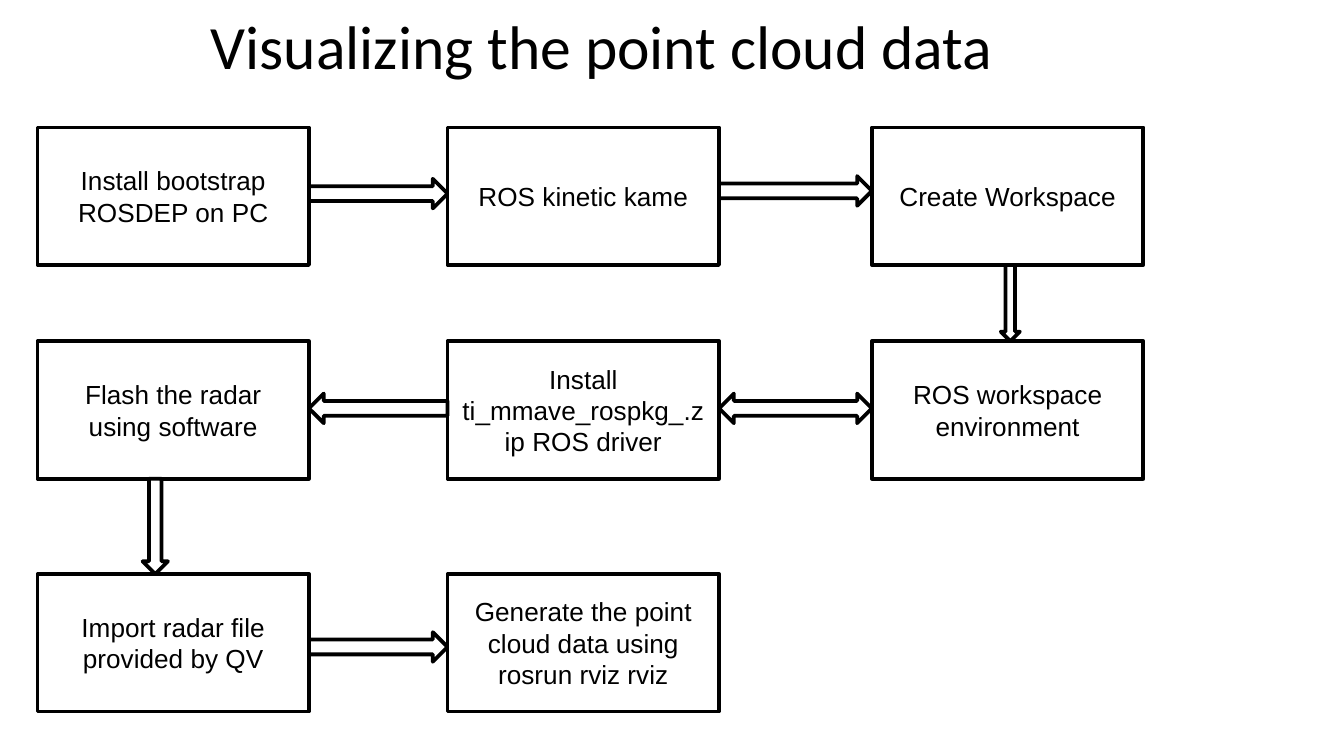
from pptx import Presentation
from pptx.dml.color import RGBColor
from pptx.enum.shapes import MSO_SHAPE as Shape
from pptx.enum.text import MSO_ANCHOR as Anchor, PP_ALIGN as Align
from pptx.util import Cm, Pt

BLACK = RGBColor(0x00, 0x00, 0x00)
WHITE = RGBColor(0xFF, 0xFF, 0xFF)

COLUMNS = (0.71, 8.46, 16.48)
ROWS = (2.41, 6.45, 10.85)
BOX_WIDTH, BOX_HEIGHT = 5.13, 2.6

# Steps by (row, column)
STEPS = {
    (0, 0): "Install bootstrap ROSDEP on PC",
    (0, 1): "ROS kinetic kame",
    (0, 2): "Create Workspace",
    (1, 2): "ROS workspace environment",
    (1, 1): "Install ti_mmave_rospkg_.zip ROS driver",
    (1, 0): "Flash the radar using software",
    (2, 0): "Import radar file provided by QV",
    (2, 1): "Generate the point cloud data using rosrun rviz rviz",
}

# Block arrows: upper or left step, lower or right step, kind, thickness, shift off centre
ARROWS = (
    ((0, 0), (0, 1), Shape.RIGHT_ARROW, 0.56, -0.05),
    ((0, 1), (0, 2), Shape.RIGHT_ARROW, 0.56, -0.1),
    ((0, 2), (1, 2), Shape.DOWN_ARROW, 0.36, 0.05),
    ((1, 0), (1, 1), Shape.LEFT_ARROW, 0.56, -0.03),
    ((1, 0), (2, 0), Shape.DOWN_ARROW, 0.48, -0.34),
    ((1, 1), (1, 2), Shape.LEFT_RIGHT_ARROW, 0.56, -0.03),
    ((2, 0), (2, 1), Shape.RIGHT_ARROW, 0.56, 0.08),
)


def write_text(frame, text, size, font="Arial", align=Align.CENTER, spacing=None):
    frame.word_wrap = True
    frame.vertical_anchor = Anchor.MIDDLE
    para = frame.paragraphs[0]
    para.alignment = align
    para.line_spacing = spacing
    span = para.add_run()
    span.text = text
    span.font.name = font
    span.font.size = Pt(size)
    span.font.color.rgb = BLACK


def add_outlined(page, kind, left, top, width, height):
    shape = page.shapes.add_shape(kind, left, top, width, height)
    shape.shadow.inherit = False
    shape.fill.solid()
    shape.fill.fore_color.rgb = WHITE
    shape.line.color.rgb = BLACK
    shape.line.width = Pt(2)
    return shape


def add_title(page, text, left, top, width, height):
    title = page.shapes.title
    title.left, title.top, title.width, title.height = left, top, width, height
    write_text(title.text_frame, text, 33, font="Calibri", align=Align.LEFT, spacing=0.9)


def add_step(page, text, left, top, width, height):
    box = add_outlined(page, Shape.RECTANGLE, left, top, width, height)
    write_text(box.text_frame, text, 14)
    return box


def add_arrow(page, first, second, kind, thickness, shift):
    """Fill the gap between two neighbouring boxes with a block arrow."""
    if kind == Shape.DOWN_ARROW:
        left = first.left + (first.width - thickness) // 2 + shift
        top = first.top + first.height
        add_outlined(page, kind, left, top, thickness, second.top - top)
    else:
        left = first.left + first.width
        top = first.top + (first.height - thickness) // 2 + shift
        add_outlined(page, kind, left, top, second.left - left, thickness)


def add_flow(page):
    boxes = {
        (row, column): add_step(page, text, Cm(COLUMNS[column]), Cm(ROWS[row]),
                                Cm(BOX_WIDTH), Cm(BOX_HEIGHT))
        for (row, column), text in STEPS.items()
    }
    for first, second, kind, thickness, shift in ARROWS:
        add_arrow(page, boxes[first], boxes[second], kind, Cm(thickness), Cm(shift))


def main():
    deck = Presentation()
    deck.slide_width, deck.slide_height = Cm(25.4), Cm(14.29)
    page = deck.slides.add_slide(deck.slide_layouts[5])
    add_title(page, "Visualizing the point cloud data", Cm(3.73), Cm(0), Cm(19.76), Cm(1.88))
    add_flow(page)
    deck.save("out.pptx")


if __name__ == "__main__":
    main()
